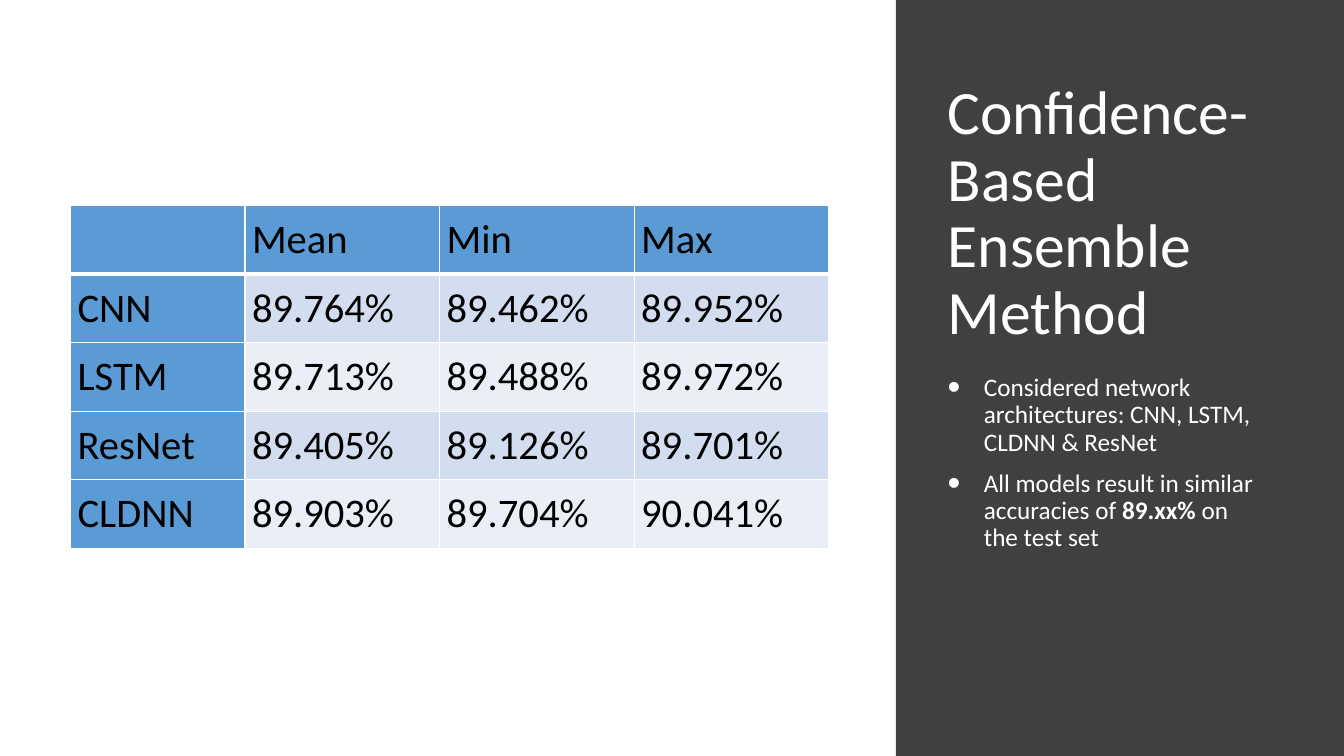
from lxml import etree
from pptx import Presentation, util as u
from pptx.dml.color import RGBColor
from pptx.enum import shapes, text
from pptx.oxml.ns import qn

TITLE = "Confidence-Based Ensemble Method"
# Each point is a list of (wording, bold) pieces.
POINTS = [
    [("Considered network architectures: CNN, LSTM, CLDNN & ResNet", False)],
    [("All models result in similar accuracies of ", False), ("89.xx%", True),
     (" on the test set", False)],
]
ACCURACIES = [
    ("", "Mean", "Min", "Max"),
    ("CNN", "89.764%", "89.462%", "89.952%"),
    ("LSTM", "89.713%", "89.488%", "89.972%"),
    ("ResNet", "89.405%", "89.126%", "89.701%"),
    ("CLDNN", "89.903%", "89.704%", "90.041%"),
]
FONT = "Calibri"
WHITE, BLACK, PANEL, HEADING = "FFFFFF", "000000", "404040", "5B9BD5"
BANDS = ["D2DEEF", "EAEFF7"]

WIDTH, HEIGHT = 13.33, 7.5
PANEL_LEFT = WIDTH * 2 / 3
TABLE_LEFT, TABLE_TOP = 0.7, 2.04
COLUMNS = [1.73, 1.93, 1.93, 1.93]
ROW = 0.68
INSET = 0.07
INDENT = 0.36


def colour(hex_code):
    return RGBColor.from_string(hex_code)


def style(font, size, hex_code, bold=False):
    font.name, font.size, font.bold = FONT, u.Pt(size), bold
    font.color.rgb = colour(hex_code)


def add_text_frame(slide, left, top, width, height, anchor):
    frame = slide.shapes.add_textbox(*map(u.Inches, (left, top, width, height))).text_frame
    frame.word_wrap = True
    frame.vertical_anchor = anchor
    return frame


def add_bullet(paragraph):
    props = paragraph._p.get_or_add_pPr()
    props.set("marL", str(u.Inches(INDENT)))
    props.set("indent", str(-u.Inches(INDENT)))
    for tag, key, value in [("a:buSzPct", "val", "145000"),
                            ("a:buFont", "typeface", "Arial"),
                            ("a:buChar", "char", "•")]:
        etree.SubElement(props, qn(tag)).set(key, value)


def add_borders(cell, widths):
    """Draw white borders; widths holds points for left, right, top, bottom."""
    props = cell._tc.get_or_add_tcPr()
    for side, width in zip("LRTB", widths):
        line = etree.SubElement(props, qn(f"a:ln{side}"), w=str(u.Pt(width)))
        fill = etree.SubElement(line, qn("a:solidFill"))
        etree.SubElement(fill, qn("a:srgbClr"), val=WHITE)


def add_panel(slide):
    panel = slide.shapes.add_shape(
        shapes.MSO_SHAPE.RECTANGLE, u.Inches(PANEL_LEFT), 0,
        u.Inches(WIDTH - PANEL_LEFT), u.Inches(HEIGHT))
    panel.shadow.inherit = False
    panel.fill.solid()
    panel.fill.fore_color.rgb = colour(PANEL)
    panel.line.fill.background()


def add_title(slide):
    frame = add_text_frame(slide, 9.3, 0.7, 3.41, 2.8, text.MSO_ANCHOR.BOTTOM)
    frame.text = TITLE
    heading = frame.paragraphs[0]
    heading.line_spacing = 0.9
    style(heading.runs[0].font, 44, WHITE)


def add_points(slide):
    frame = add_text_frame(slide, 9.3, 3.67, 3.33, 3.1, text.MSO_ANCHOR.TOP)
    for number, pieces in enumerate(POINTS):
        point = frame.add_paragraph() if number else frame.paragraphs[0]
        point.line_spacing = 0.9
        point.space_before = u.Pt(10)
        add_bullet(point)
        for wording, bold in pieces:
            run = point.add_run()
            run.text = wording
            style(run.font, 18, WHITE, bold)


def add_accuracies(slide):
    table = slide.shapes.add_table(
        len(ACCURACIES), len(COLUMNS), u.Inches(TABLE_LEFT), u.Inches(TABLE_TOP),
        u.Inches(sum(COLUMNS)), u.Inches(ROW * len(ACCURACIES))).table
    table.first_col = True
    for column, width in zip(table.columns, COLUMNS):
        column.width = u.Inches(width)
    for r, values in enumerate(ACCURACIES):
        table.rows[r].height = u.Inches(ROW)
        for c, value in enumerate(values):
            cell = table.cell(r, c)
            cell.text = value
            style(cell.text_frame.paragraphs[0].font, 29, BLACK)
            for run in cell.text_frame.paragraphs[0].runs:
                style(run.font, 29, BLACK)
            cell.vertical_anchor = text.MSO_ANCHOR.MIDDLE
            cell.margin_left = cell.margin_right = u.Inches(INSET)
            cell.margin_top = cell.margin_bottom = u.Inches(INSET)
            add_borders(cell, (1, 1, 3 if r == 1 else 1, 3 if r == 0 else 1))
            cell.fill.solid()
            is_heading = r == 0 or c == 0
            cell.fill.fore_color.rgb = colour(HEADING if is_heading else BANDS[(r - 1) % 2])


def main():
    deck = Presentation()
    deck.slide_width, deck.slide_height = u.Inches(WIDTH), u.Inches(HEIGHT)
    slide = deck.slides.add_slide(deck.slide_layouts[6])
    add_panel(slide)
    add_title(slide)
    add_points(slide)
    add_accuracies(slide)
    deck.save("out.pptx")


if __name__ == "__main__":
    main()
